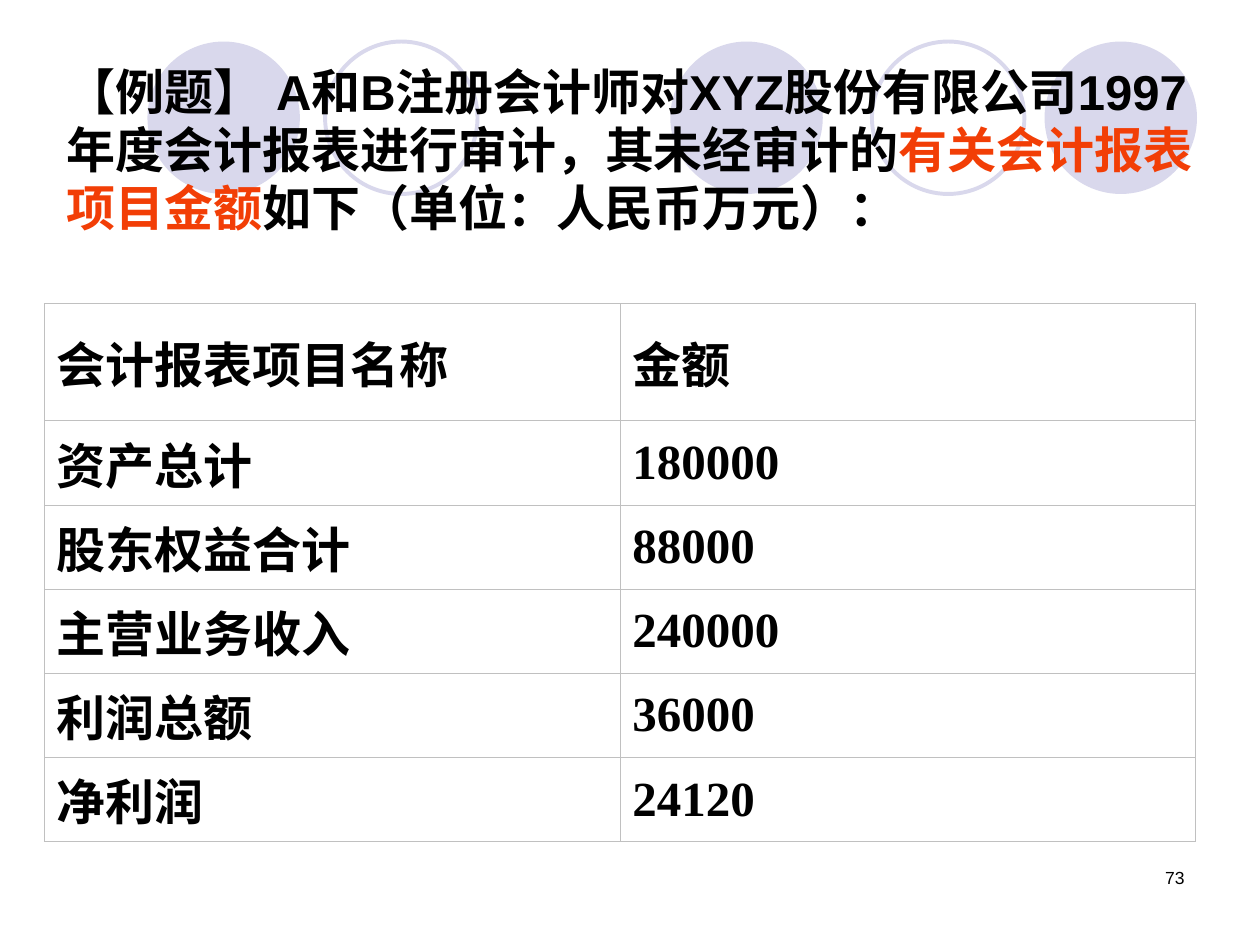
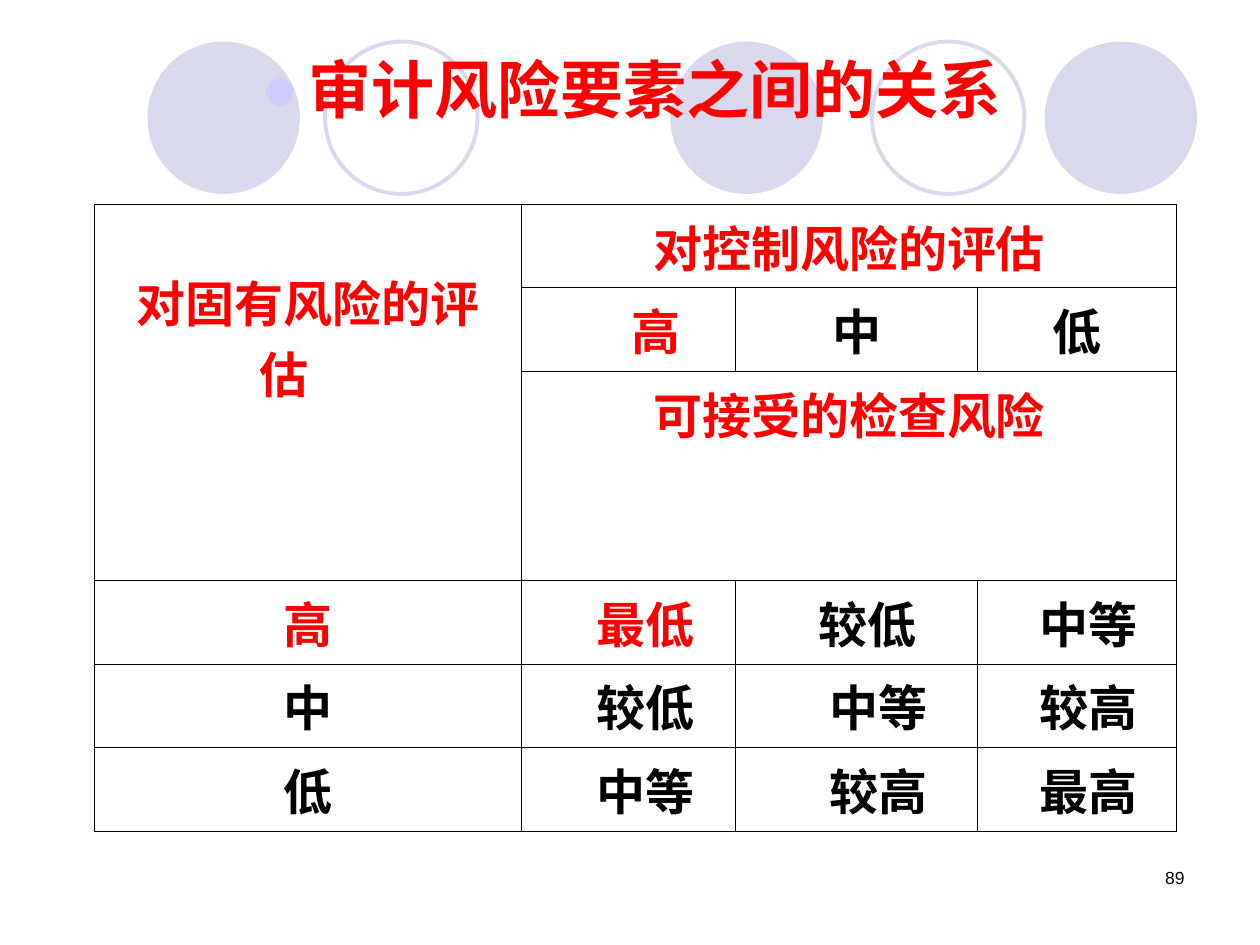
"""Builds two audit-course slides: a table of statement items and a matrix of audit risks."""
from dataclasses import dataclass
from typing import NamedTuple

from lxml import etree
from pptx import Presentation
from pptx import util as u
from pptx.dml.color import RGBColor
from pptx.enum import shapes, text
from pptx.oxml import ns

SLIDE_WIDTH, SLIDE_HEIGHT = u.Inches(10), u.Inches(7.5)
GRID_COLUMNS, GRID_ROWS = 100, 75
LATIN, CHINESE, DIGITS = "Arial", "Noto Sans CJK SC", "Times New Roman"
BLACK, RED, ORANGE = "000000", "FF0000", "F23E06"
LILAC, BULLET, GREY = "D9D8EC", "CCCCFF", "C0C0C0"
TABLE_SIZE = 28
INSET = 1
INDENT_STEP = 0.87
ALIGN = text.PP_ALIGN


class Place(NamedTuple):
    column: float
    row: float
    columns: float
    rows: float


class Circle(NamedTuple):
    column: float
    filled: bool


class Span(NamedTuple):
    words: str
    color: str


@dataclass(frozen=True)
class Cell:
    words: str
    color: str = BLACK
    face: str = CHINESE
    indent: int = 0
    drop: float = 0
    down: int = 1
    across: int = 1


@dataclass(frozen=True)
class Grid:
    column: float
    row: float
    widths: list[float]
    heights: list[float]
    line: str
    align: ALIGN
    anchor: text.MSO_ANCHOR
    cells: dict[tuple[int, int], Cell]


CIRCLES = [Circle(53.2, True), Circle(82.9, True), Circle(11.7, True),
           Circle(69.2, False), Circle(25.8, False)]
NUMBER_PLACE = Place(71.7, 68.3, 23.3, 5)


def across(columns: float) -> int:
    return round(SLIDE_WIDTH * columns / GRID_COLUMNS)


def down(rows: float) -> int:
    return round(SLIDE_HEIGHT * rows / GRID_ROWS)


def bounds(place: Place) -> tuple[int, int, int, int]:
    return across(place.column), down(place.row), across(place.columns), down(place.rows)


def rgb(color: str) -> RGBColor:
    return RGBColor.from_string(color)


def add_xml(parent, tag: str, **attributes: str):
    return etree.SubElement(parent, ns.qn(tag), attributes)


def style(font, size: float, face: str, color: str, bold: bool = True) -> None:
    font.size, font.name, font.bold = u.Pt(size), face, bold
    font.color.rgb = rgb(color)
    add_xml(font._rPr, "a:ea", typeface=face)


def add_circles(slide, layout) -> None:
    """Draws the band of circles and hands it to the layout, so every slide shows it."""
    band = slide.shapes.add_group_shape()
    for circle in CIRCLES:
        shape = band.shapes.add_shape(shapes.MSO_SHAPE.OVAL,
                                      *bounds(Place(circle.column, 3.3, 12.1, 12.1)))
        shape.shadow.inherit = False
        if circle.filled:
            shape.fill.solid()
            shape.fill.fore_color.rgb = rgb(LILAC)
            shape.line.fill.background()
        else:
            shape.fill.background()
            shape.line.color.rgb = rgb(LILAC)
            shape.line.width = u.Pt(2.25)
    layout.shapes._spTree.append(band._element)


def add_bullet(para, hang: float) -> None:
    props = para._p.get_or_add_pPr()
    props.set("marL", str(across(hang)))
    props.set("indent", str(-across(hang)))
    add_xml(add_xml(props, "a:buClr"), "a:srgbClr", val=BULLET)
    add_xml(props, "a:buFont", typeface=LATIN)
    add_xml(props, "a:buChar", char="●")


def set_title(slide, place: Place, spans: list[Span], size: float, align: ALIGN,
              bullet_hang: float = 0) -> None:
    title = slide.shapes.title
    title.left, title.top, title.width, title.height = bounds(place)
    frame = title.text_frame
    frame.word_wrap = True
    frame.auto_size = text.MSO_AUTO_SIZE.NONE
    frame.vertical_anchor = text.MSO_ANCHOR.TOP
    para = frame.paragraphs[0]
    if bullet_hang:
        add_bullet(para, bullet_hang)
    para.alignment = align
    para.line_spacing = u.Pt(round(size * 1.19, 1))
    para.space_before = u.Pt(round(size * 0.13, 1))
    style(para.font, size, LATIN, spans[0].color)
    for span in spans:
        run = para.add_run()
        run.text = span.words
        if span.color != spans[0].color:
            run.font.color.rgb = rgb(span.color)


def add_number(slide, number: int) -> None:
    box = slide.shapes.add_textbox(*bounds(NUMBER_PLACE))
    box.text_frame.word_wrap = True
    para = box.text_frame.paragraphs[0]
    para.text = str(number)
    para.alignment = ALIGN.RIGHT
    style(para.font, 10, LATIN, BLACK, bold=False)


def set_borders(cell, color: str) -> None:
    props = cell._tc.get_or_add_tcPr()
    for index, side in enumerate("LRTB"):
        line = add_xml(props, f"a:ln{side}", w=str(u.Pt(0.45)))
        add_xml(add_xml(line, "a:solidFill"), "a:srgbClr", val=color)
        props.insert(index, line)


def fill_cell(table, row: int, column: int, content: Cell, grid: Grid) -> None:
    cell = table.cell(row, column)
    if content.down > 1 or content.across > 1:
        cell.merge(table.cell(row + content.down - 1, column + content.across - 1))
    cell.margin_left = across(INSET + content.indent * INDENT_STEP)
    cell.margin_right = across(INSET)
    cell.margin_top = down(INSET / 2 + content.drop)
    cell.margin_bottom = down(INSET / 2)
    cell.vertical_anchor = grid.anchor
    para = cell.text_frame.paragraphs[0]
    para.text = content.words
    para.alignment = grid.align
    style(para.font, TABLE_SIZE, content.face, content.color)


def add_grid(slide, grid: Grid) -> None:
    place = Place(grid.column, grid.row, sum(grid.widths), sum(grid.heights))
    table = slide.shapes.add_table(len(grid.heights), len(grid.widths), *bounds(place)).table
    table.first_row = table.horz_banding = False
    for column, width in zip(table.columns, grid.widths):
        column.width = across(width)
    for row, height in zip(table.rows, grid.heights):
        row.height = down(height)
    for cell in table.iter_cells():
        cell.fill.background()
        set_borders(cell, grid.line)
    for (row, column), content in grid.cells.items():
        fill_cell(table, row, column, content, grid)


def add_dot(slide, column: float, row: float) -> None:
    x, y = across(column), down(row)
    dot = slide.shapes.add_connector(shapes.MSO_CONNECTOR.STRAIGHT, x, y, x, y)
    dot.line.color.rgb = rgb(BLACK)
    dot.line.width = u.Pt(1)
    add_xml(dot._element.spPr, "a:effectLst")


def build_items_slide(slide) -> None:
    add_number(slide, 73)
    set_title(slide, Place(4.3, 4.4, 91.4, 15.7), [
        Span("【例题】 A和B注册会计师对XYZ股份有限公司1997年度会计报表进行审计，其未经审计的", BLACK),
        Span("有关会计报表项目金额", ORANGE),
        Span("如下（单位：人民币万元）：", BLACK)], 28, ALIGN.LEFT)
    amounts = {"资产总计": "180000", "股东权益合计": "88000", "主营业务收入": "240000",
               "利润总额": "36000", "净利润": "24120"}
    cells = {(0, 0): Cell("会计报表项目名称"), (0, 1): Cell("金额")}
    for row, (item, amount) in enumerate(amounts.items(), start=1):
        cells[row, 0] = Cell(item)
        cells[row, 1] = Cell(amount, face=DIGITS)
    add_grid(slide, Grid(3.5, 24.1, [45.7] * 2, [9.3] + [6.68] * len(amounts), GREY,
                         ALIGN.JUSTIFY, text.MSO_ANCHOR.MIDDLE, cells))


def build_risk_slide(slide) -> None:
    add_number(slide, 89)
    set_title(slide, Place(5.1, 3.6, 90, 62.7), [Span("审计风险要素之间的关系", RED)],
              36, ALIGN.CENTER, bullet_hang=3.8)
    for column in (59.9, 64.5):
        add_dot(slide, column, 29.5)
    levels = ["高", "中", "低"]
    results = [["最低", "较低", "中等"], ["较低", "中等", "较高"], ["中等", "较高", "最高"]]
    indents = [3, 4, 2]
    cells = {(0, 0): Cell("对固有风险的评估　", RED, drop=4.4, down=3),
             (0, 1): Cell("对控制风险的评估", RED, across=3),
             (2, 1): Cell("可接受的检查风险", RED, across=3)}
    for index, level in enumerate(levels):
        color = BLACK if index else RED
        cells[1, index + 1] = Cell(level, color, indent=0 if index else 5)
        cells[index + 3, 0] = Cell(level, color)
        for column, result in enumerate(results[index]):
            first = index == column == 0
            indent = 2 if (index, column) == (0, 1) else indents[column]
            cells[index + 3, column + 1] = Cell(result, RED if first else BLACK, indent=indent)
    add_grid(slide, Grid(7.5, 16.2, [33.9, 17, 19.2, 15.8], [6.63] * 2 + [16.6] + [6.63] * 3,
                         BLACK, ALIGN.CENTER, text.MSO_ANCHOR.TOP, cells))


def main() -> None:
    deck = Presentation()
    deck.slide_width, deck.slide_height = SLIDE_WIDTH, SLIDE_HEIGHT
    layout = deck.slide_layouts.get_by_name("Title Only")
    pages = [deck.slides.add_slide(layout) for _ in range(2)]
    add_circles(pages[0], layout)
    build_items_slide(pages[0])
    build_risk_slide(pages[1])
    deck.save("out.pptx")


if __name__ == "__main__":
    main()
